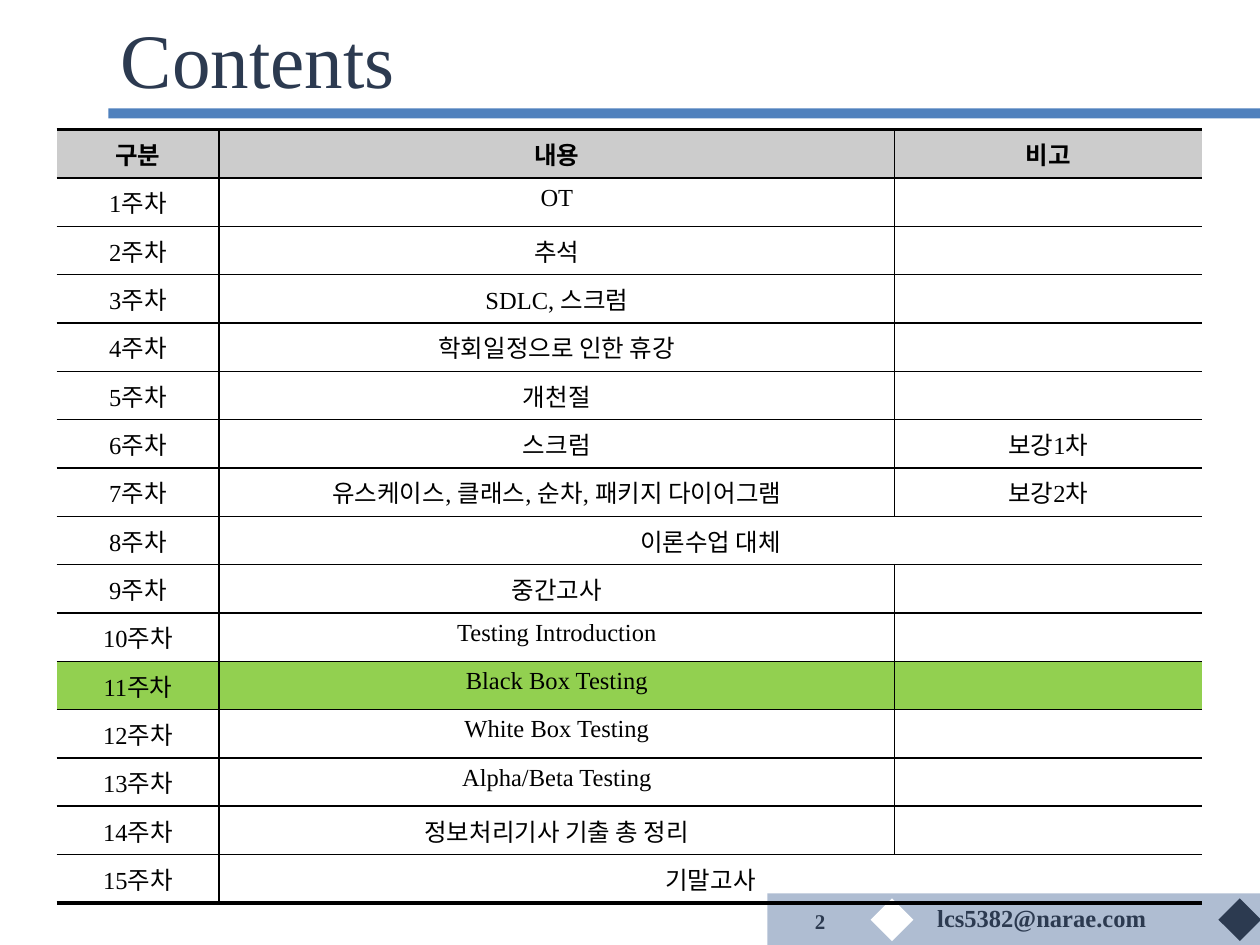
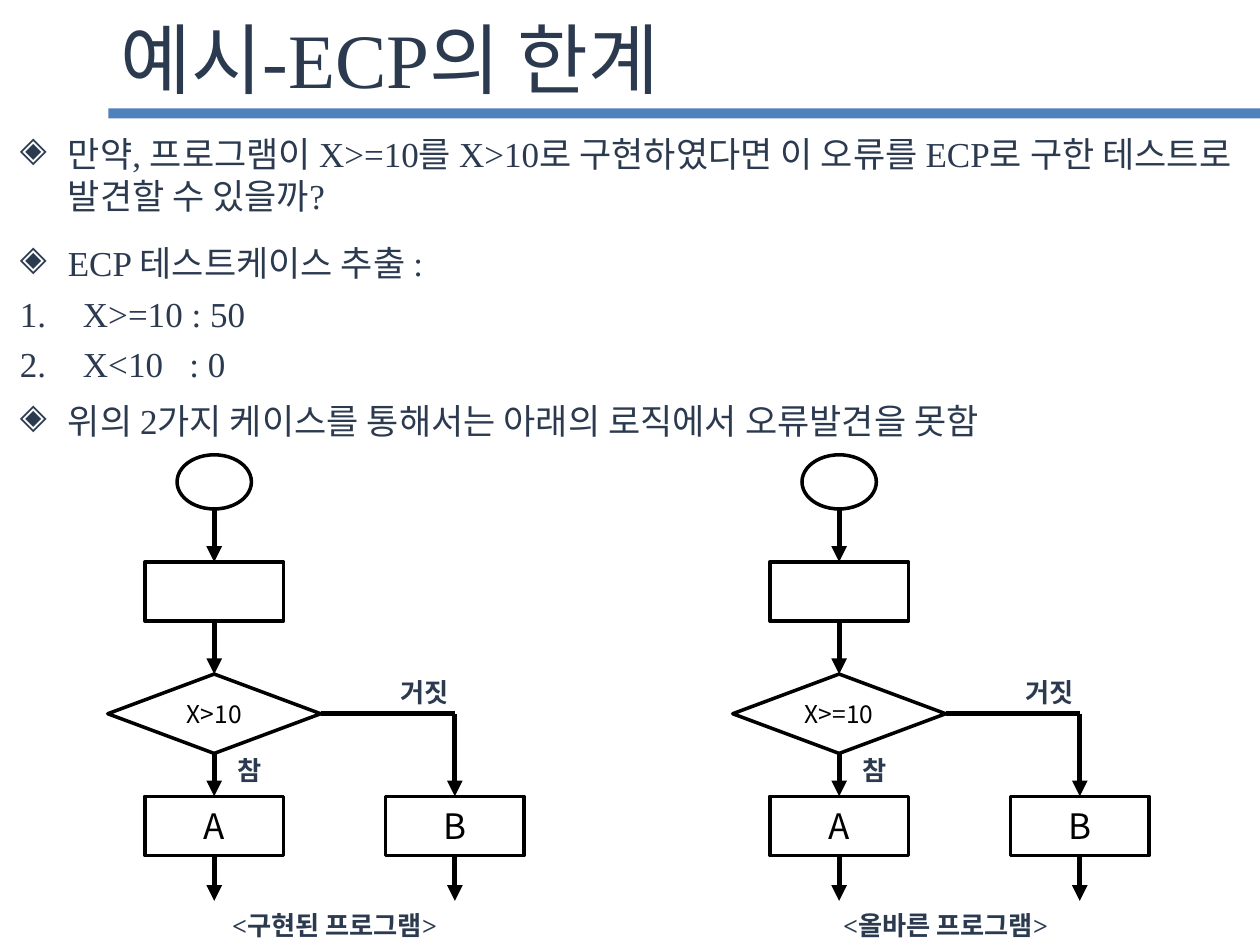
from dataclasses import dataclass

import lxml.etree
import pptx
import pptx.dml.color
import pptx.enum.shapes
import pptx.enum.text
import pptx.oxml.ns
import pptx.util

SHAPE = pptx.enum.shapes.MSO_SHAPE
ALIGN = pptx.enum.text.PP_ALIGN
ANCHOR = pptx.enum.text.MSO_ANCHOR
Inches = pptx.util.Inches
Pt = pptx.util.Pt
qn = pptx.oxml.ns.qn


@dataclass(frozen=True)
class Theme:
    ink: str = "2C3A50"
    black: str = "000000"
    white: str = "FFFFFF"
    rule: str = "4F81BD"
    band: str = "788FB4"
    header: str = "CCCCCC"
    current: str = "92D050"
    serif: str = "Times New Roman"
    sans: str = "Noto Sans CJK KR"
    title: int = 44
    body: int = 20
    label: int = 15
    small: int = 14
    number: int = 12


THEME = Theme()
WIDTH, HEIGHT = 10, 7.5
LEFT = 0.86

# Content: weekly plan; None in the last column joins it to the middle one
EMAIL = "lcs5382@narae.com"
HEADINGS = ("구분", "내용", "비고")
WEEKS = [
    ("OT", ""),
    ("추석", ""),
    ("SDLC, 스크럼", ""),
    ("학회일정으로 인한 휴강", ""),
    ("개천절", ""),
    ("스크럼", "보강1차"),
    ("유스케이스, 클래스, 순차, 패키지 다이어그램", "보강2차"),
    ("이론수업 대체", None),
    ("중간고사", ""),
    ("Testing Introduction", ""),
    ("Black Box Testing", ""),
    ("White Box Testing", ""),
    ("Alpha/Beta Testing", ""),
    ("정보처리기사 기출 총 정리", ""),
    ("기말고사", None),
]
CURRENT_WEEK = 11
COLUMN_WIDTHS = (1.29, 5.36, 2.44)
TABLE_HEIGHT = 6.14

# Content: bullet kind, space before in points, text
POINTS = [
    ("◈", 0, "만약, 프로그램이 X>=10를 X>10로 구현하였다면 이 오류를 ECP로 구한 테스트로 발견할 수 있을까?"),
    ("◈", 14.5, "ECP 테스트케이스 추출 :"),
    ("1.", 4.8, "X>=10 : 50"),
    ("1.", 4.8, "X<10   : 0"),
    ("◈", 8.6, "위의 2가지 케이스를 통해서는 아래의 로직에서 오류발견을 못함"),
]

# Content: axis of the flow, condition, caption and its left edge
FLOWS = [
    (1.7, "X>10", "<구현된 프로그램>", 1.41),
    (6.66, "X>=10", "<올바른 프로그램>", 6.26),
]


def rgb(value):
    return pptx.dml.color.RGBColor.from_string(value)


def style(paragraph, size, color=THEME.ink, bold=False, font=THEME.serif, align=ALIGN.LEFT):
    paragraph.alignment = align
    paragraph.font.size = Pt(size)
    paragraph.font.bold = bold
    paragraph.font.color.rgb = rgb(color)
    paragraph.font.name = font
    if not paragraph.runs:
        lxml.etree.SubElement(paragraph._p, qn("a:endParaRPr"), sz=str(size * 100))


def add_box(slide, kind, box, fill=None, line=None, rotation=0):
    shape = slide.shapes.add_shape(kind, *map(Inches, box))
    shape.shadow.inherit = False
    shape.rotation = rotation
    if fill:
        shape.fill.solid()
        shape.fill.fore_color.rgb = rgb(fill)
    else:
        shape.fill.background()
    if line:
        shape.line.color.rgb = rgb(line)
        shape.line.width = Pt(2)
    else:
        shape.line.fill.background()
    return shape


def add_text(slide, box, text, size, wrap=True, anchor=ANCHOR.TOP, **look):
    shape = slide.shapes.add_textbox(*map(Inches, box))
    frame = shape.text_frame
    frame.word_wrap = wrap
    frame.vertical_anchor = anchor
    frame.text = text
    style(frame.paragraphs[0], size, **look)
    return shape


def add_titled_slide(presentation, text):
    slide = presentation.slides.add_slide(presentation.slide_layouts[5])
    add_box(slide, SHAPE.RECTANGLE, (LEFT, LEFT, WIDTH - LEFT, 0.08), THEME.rule)
    title = slide.shapes.title
    title.left, title.top, title.width, title.height = map(Inches, (LEFT, 0.07, 8.96, 0.77))
    title.text = text
    title.text_frame.auto_size = pptx.enum.text.MSO_AUTO_SIZE.NONE
    title.text_frame.vertical_anchor = ANCHOR.MIDDLE
    style(title.text_frame.paragraphs[0], THEME.title)
    return slide


def add_footer(slide, number):
    band = add_box(slide, SHAPE.RECTANGLE, (6.09, 7.09, WIDTH - 6.09, HEIGHT - 7.09), THEME.band)
    color = band.fill._xPr.find(qn("a:solidFill"))[0]
    lxml.etree.SubElement(color, qn("a:alpha"), val="59000")
    for left, fill in ((6.96, THEME.white), (9.72, THEME.ink)):
        add_box(slide, SHAPE.RECTANGLE, (left, 7.18, 0.24, 0.24), fill, rotation=45)
    add_text(slide, (7.34, 7.12, 1.86, 0.34), EMAIL, THEME.small, wrap=False, bold=True)
    add_text(slide, (6.18, 7.14, 0.47, 0.34), str(number), THEME.number,
             anchor=ANCHOR.MIDDLE, bold=True, align=ALIGN.RIGHT)


def set_borders(cell, widths):
    """Draw the sides L, R, T, B with the given widths; 0 means no line."""
    properties = cell._tc.get_or_add_tcPr()
    for side, width in zip("LRTB", widths):
        line = lxml.etree.SubElement(properties, qn(f"a:ln{side}"), w=str(Pt(width)))
        if width:
            fill = lxml.etree.SubElement(line, qn("a:solidFill"))
            lxml.etree.SubElement(fill, qn("a:srgbClr"), val=THEME.black)
        else:
            lxml.etree.SubElement(line, qn("a:noFill"))


def add_plan(slide):
    rows = [HEADINGS] + [(f"{week}주차", *entry) for week, entry in enumerate(WEEKS, 1)]
    last = len(rows) - 1
    box = (0.45, 1.03, sum(COLUMN_WIDTHS), TABLE_HEIGHT)
    table = slide.shapes.add_table(len(rows), len(HEADINGS), *map(Inches, box)).table
    table.first_row = table.horz_banding = False
    for column, width in zip(table.columns, COLUMN_WIDTHS):
        column.width = Inches(width)

    # Horizontal rules from the top edge to the bottom edge
    rules = [2.25] + [1] * (last - 1) + [0.75, 2.25]
    fills = {0: THEME.header, CURRENT_WEEK: THEME.current}

    for row, texts in enumerate(rows):
        table.rows[row].height = Inches(TABLE_HEIGHT / len(rows))
        joined = texts[2] is None
        for column, text in enumerate(texts):
            cell = table.cell(row, column)
            cell.text = text or ""
            middle = row > 0 and column != 1
            cell.vertical_anchor = ANCHOR.MIDDLE if middle else ANCHOR.TOP
            style(cell.text_frame.paragraphs[0], THEME.small, THEME.black,
                  bold=row == 0, align=ALIGN.CENTER)
            left = column == 1 or column == 2 and not joined
            right = column == 0 or column == 1 and not joined
            set_borders(cell, (int(left), int(right), rules[row], rules[row + 1]))
            if row in fills:
                cell.fill.solid()
                cell.fill.fore_color.rgb = rgb(fills[row])
            else:
                cell.fill.background()
        if joined:
            table.cell(row, 1).merge(table.cell(row, 2))


def add_points(slide):
    frame = slide.shapes.add_textbox(*map(Inches, (0.06, 1, 9.89, 2.5))).text_frame
    frame.word_wrap = True
    for index, (bullet, space, text) in enumerate(POINTS):
        paragraph = frame.add_paragraph() if index else frame.paragraphs[0]
        paragraph.text = text
        paragraph.space_before = Pt(space)
        properties = paragraph._p.get_or_add_pPr()
        numbered = bullet == "1."
        indent = Inches(0.5 if numbered else 0.38)
        properties.set("marL", str(indent))
        properties.set("indent", str(-indent))
        if numbered:
            lxml.etree.SubElement(properties, qn("a:buAutoNum"), type="arabicPeriod")
        else:
            lxml.etree.SubElement(properties, qn("a:buChar"), char=bullet)
        style(paragraph, THEME.body)


def add_line(slide, start, end, source=None, target=None, arrow=True):
    """Source and target are (shape, side) pairs to join."""
    connector = slide.shapes.add_connector(
        pptx.enum.shapes.MSO_CONNECTOR.STRAIGHT, *map(Inches, start + end))
    if source:
        connector.begin_connect(*source)
    if target:
        connector.end_connect(*target)
    connector.line.color.rgb = rgb(THEME.black)
    connector.line.width = Pt(3)
    if arrow:
        lxml.etree.SubElement(connector.line._get_or_add_ln(), qn("a:tailEnd"), type="triangle")
    lxml.etree.SubElement(connector._element.spPr, qn("a:effectLst"))


def add_flow(slide, axis, condition, caption, caption_left):
    branch = axis + 1.91
    choice_top, choice_height = 5.35, 0.63
    choice_middle = choice_top + choice_height / 2

    def node(kind, center, top, width, height, text="", size=THEME.body):
        shape = add_box(slide, kind, (center - width / 2, top, width, height), line=THEME.black)
        if text:
            frame = shape.text_frame
            frame.margin_left = frame.margin_right = 0
            frame.vertical_anchor = ANCHOR.MIDDLE
            frame.text = text
            style(frame.paragraphs[0], size, THEME.black, font=THEME.sans, align=ALIGN.CENTER)
        return shape

    # Nodes
    node(SHAPE.OVAL, axis, 3.61, 0.59, 0.43)
    step = node(SHAPE.RECTANGLE, axis, 4.46, 1.1, 0.47)
    choice = node(SHAPE.DIAMOND, axis, choice_top, 1.69, choice_height, condition, THEME.small)
    result_a, result_b = (node(SHAPE.RECTANGLE, center, 6.32, 1.1, 0.47, name)
                          for center, name in ((axis, "A"), (branch, "B")))

    # Arrows down the axis, then the branch
    add_line(slide, (axis, 4.04), (axis, 4.46), target=(step, 0))
    add_line(slide, (axis, 4.93), (axis, 5.35), (step, 2), (choice, 0))
    add_line(slide, (axis, 5.98), (axis, 6.32), (choice, 2), (result_a, 0))
    for center, result in ((axis, result_a), (branch, result_b)):
        add_line(slide, (center, 6.79), (center, 7.15), source=(result, 2))
    add_line(slide, (branch, choice_middle), (branch, 6.32), target=(result_b, 0))
    add_line(slide, (axis + 0.85, choice_middle), (branch, choice_middle),
             source=(choice, 3), arrow=False)

    # Labels
    for left, top, width, text in ((caption_left, 7.17, 2.49, caption),
                                   (axis, 5.94, 0.56, "참"),
                                   (axis + 1.21, 5.32, 0.92, "거짓")):
        add_text(slide, (left, top, width, 0.35), text, THEME.label,
                 bold=True, align=ALIGN.CENTER)


def main():
    presentation = pptx.Presentation()
    presentation.slide_width, presentation.slide_height = Inches(WIDTH), Inches(HEIGHT)

    contents = add_titled_slide(presentation, "Contents")
    add_footer(contents, 2)
    add_plan(contents)

    example = add_titled_slide(presentation, "예시-ECP의 한계")
    add_points(example)
    for flow in FLOWS:
        add_flow(example, *flow)

    presentation.save("out.pptx")


if __name__ == "__main__":
    main()
